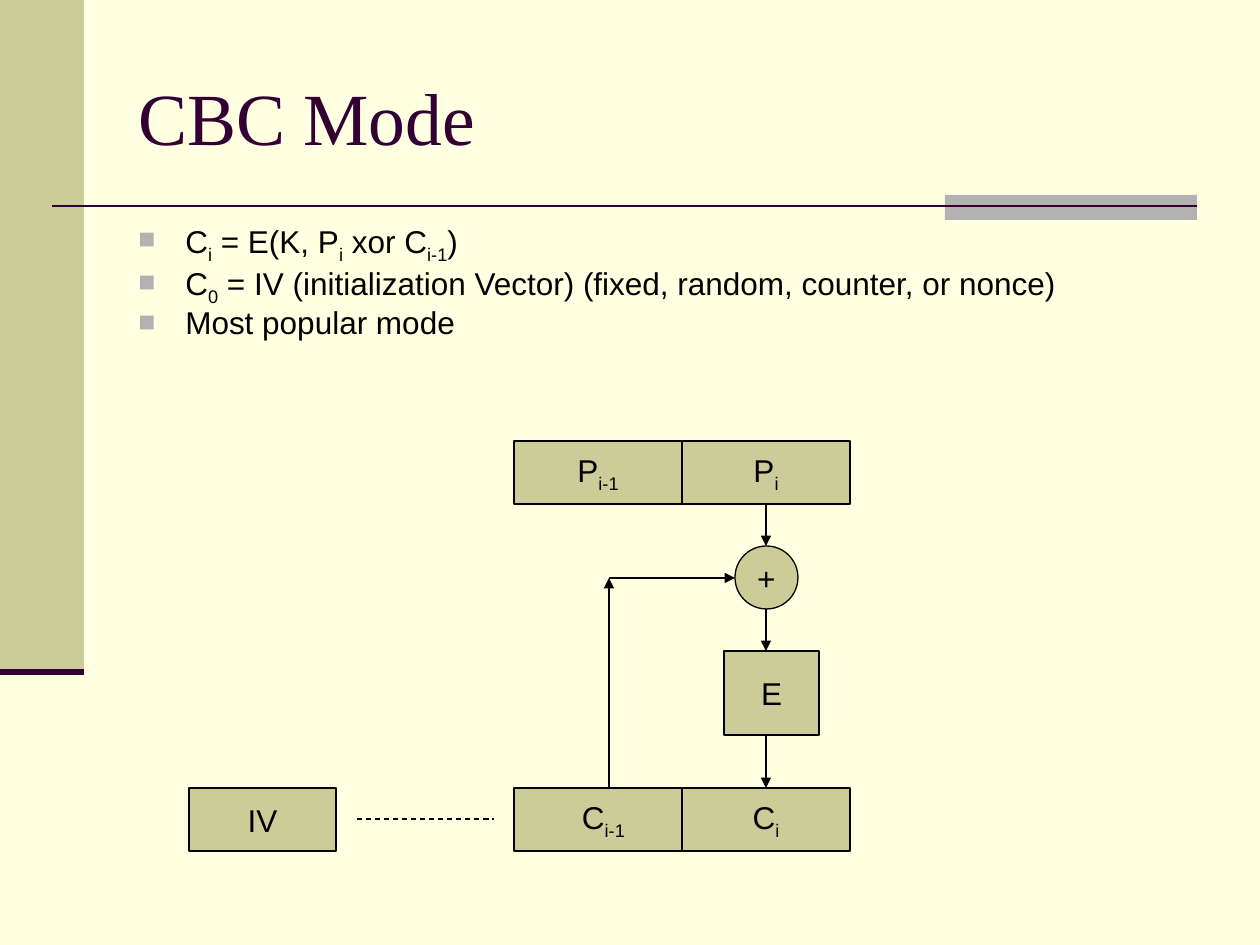
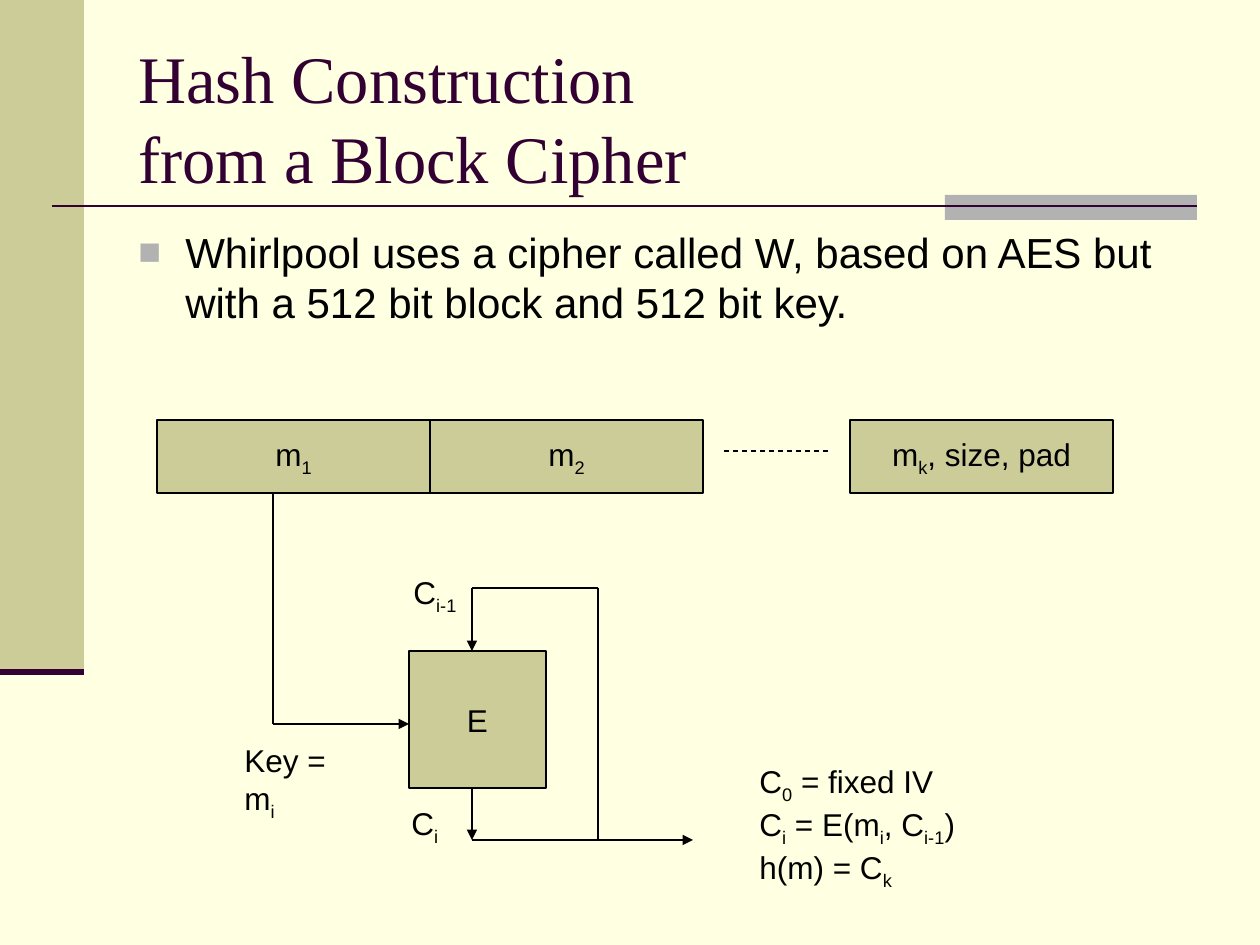
from dataclasses import dataclass

from lxml import etree
from pptx import Presentation
from pptx.dml.color import RGBColor
from pptx.enum.dml import MSO_LINE
from pptx.enum.shapes import MSO_CONNECTOR, MSO_SHAPE
from pptx.enum.text import MSO_ANCHOR, PP_ALIGN
from pptx.oxml.ns import qn
from pptx.util import Emu, Pt

PX = 914400 / 126  # one pixel in EMU

CREAM, KHAKI, GRAY, PLUM, BLACK = "FFFFE1", "CCCC99", "B2B2B2", "330033", "000000"
SERIF, SANS = "Times New Roman", "Arial"
THIN = 0.74


@dataclass
class Box:
    """A filled node; |bars| in its text enclose subscripts."""
    text: str
    x: int
    y: int
    w: int
    h: int
    shape: MSO_SHAPE = MSO_SHAPE.RECTANGLE


@dataclass
class Label:
    lines: list[str]
    x: int
    y: int
    w: int
    h: int


@dataclass
class Path:
    """Straight segments through the points, with an optional arrowhead at the end."""
    points: list[tuple[int, int]]
    arrow: bool = True
    dashed: bool = False


def px(n: float) -> Emu:
    return Emu(round(n * PX))


def rgb(color: str) -> RGBColor:
    return RGBColor.from_string(color)


def add_bullet(p, indent: int) -> None:
    pPr = p._p.get_or_add_pPr()
    pPr.set("marL", str(px(indent)))
    pPr.set("indent", str(-px(indent)))
    clr = etree.SubElement(pPr, qn("a:buClr"))
    etree.SubElement(clr, qn("a:srgbClr"), val=GRAY)
    etree.SubElement(pPr, qn("a:buSzPct"), val="90000")
    etree.SubElement(pPr, qn("a:buFont"), typeface=SANS)
    etree.SubElement(pPr, qn("a:buChar"), char="■")


def write(sp, paragraphs: list[str], *, size: float = 18, font: str = SANS,
          color: str = BLACK, align=PP_ALIGN.LEFT, anchor=MSO_ANCHOR.TOP,
          wrap: bool = False, bullet: bool = False, before: float = 0,
          spacing: float | None = None) -> None:
    """Fill a shape with text; |bars| enclose subscripts, \\v breaks a line."""
    tf = sp.text_frame
    tf.word_wrap, tf.vertical_anchor = wrap, anchor
    for i, paragraph in enumerate(paragraphs):
        p = tf.add_paragraph() if i else tf.paragraphs[0]
        p.alignment, p.space_before = align, Pt(before)
        if spacing:
            p.line_spacing = spacing
        if bullet:
            add_bullet(p, 47)
        for j, line in enumerate(paragraph.split("\v")):
            if j:
                p.add_line_break()
            for k, part in enumerate(line.split("|")):
                if not part:
                    continue
                r = p.add_run()
                r.text = part
                r.font.size, r.font.name = Pt(size), font
                r.font.color.rgb = rgb(color)
                if k % 2:
                    r.font._element.set("baseline", "-25000")


def add_text(s, x: int, y: int, w: int, h: int, paragraphs: list[str], **fmt) -> None:
    write(s.shapes.add_textbox(px(x), px(y), px(w), px(h)), paragraphs, **fmt)


def add_filled(s, x: int, y: int, w: int, h: int, fill: str, *,
               shape=MSO_SHAPE.RECTANGLE, outlined: bool = False):
    sp = s.shapes.add_shape(shape, px(x), px(y), px(w), px(h))
    sp.shadow.inherit = False
    sp.fill.solid()
    sp.fill.fore_color.rgb = rgb(fill)
    if outlined:
        sp.line.color.rgb = rgb(BLACK)
        sp.line.width = Pt(THIN)
    else:
        sp.line.fill.background()
    return sp


def add_line(s, start: tuple[int, int], end: tuple[int, int], *, color: str = BLACK,
             width: float = THIN, arrow: bool = False, dashed: bool = False) -> None:
    c = s.shapes.add_connector(MSO_CONNECTOR.STRAIGHT, *map(px, start + end))
    c.line.color.rgb = rgb(color)
    c.line.width = Pt(width)
    if dashed:
        c.line.dash_style = MSO_LINE.DASH
    spPr = c.element.spPr
    if arrow:
        etree.SubElement(spPr.find(qn("a:ln")), qn("a:tailEnd"), type="triangle")
    etree.SubElement(spPr, qn("a:effectLst"))


def add_box(s, box: Box) -> None:
    sp = add_filled(s, box.x, box.y, box.w, box.h, KHAKI, shape=box.shape, outlined=True)
    write(sp, [box.text], align=PP_ALIGN.CENTER, anchor=MSO_ANCHOR.MIDDLE)


def add_path(s, path: Path) -> None:
    segments = list(zip(path.points, path.points[1:]))
    for i, (start, end) in enumerate(segments, 1):
        add_line(s, start, end, arrow=path.arrow and i == len(segments), dashed=path.dashed)


def new_slide(prs, title: str, title_size: float, body: list[str], **body_fmt):
    """Start a slide with the shared bands, rules, title and bulleted body."""
    s = prs.slides.add_slide(prs.slide_layouts[6])
    s.background.fill.solid()
    s.background.fill.fore_color.rgb = rgb(CREAM)
    add_filled(s, 0, 0, 84, 672, KHAKI)
    add_filled(s, 945, 195, 252, 25, GRAY)
    add_line(s, (52, 206), (1197, 206), color=PLUM, width=1.5)
    add_line(s, (0, 672), (84, 672), color=PLUM, width=3.5)
    add_text(s, 126, 38, 1071, 157, [title], size=title_size, font=SERIF, color=PLUM,
             anchor=MSO_ANCHOR.MIDDLE, wrap=True)
    add_text(s, 126, 220, 1071, 163, body, wrap=True, bullet=True, **body_fmt)
    return s


def draw(s, boxes: list[Box], paths: list[Path], labels: list[Label]) -> None:
    for box in boxes:
        add_box(s, box)
    for path in paths:
        add_path(s, path)
    for label in labels:
        add_text(s, label.x, label.y, label.w, label.h, label.lines)


prs = Presentation()
prs.slide_width, prs.slide_height = px(1260), px(945)

# Slide 1: CBC chaining
s = new_slide(prs, "CBC Mode", 42, [
    "C|i| = E(K, P|i| xor C|i-1|)",
    "C|0| = IV (initialization Vector) (fixed, random, counter, or nonce)",
    "Most popular mode",
], size=18, before=4.5, spacing=0.8)
cbc_boxes = [
    Box("P|i-1|", 514, 441, 168, 63),
    Box("P|i|", 682, 441, 168, 63),
    Box("+", 735, 546, 63, 63, MSO_SHAPE.OVAL),
    Box("E", 724, 651, 95, 84),
    Box("C|i-1|", 514, 788, 179, 63),
    Box("C|i|", 682, 788, 168, 63),
    Box("IV", 189, 788, 147, 63),
]
cbc_paths = [Path([(766, top), (766, bottom)])
             for top, bottom in ((504, 546), (609, 651), (735, 788))]
cbc_paths += [
    Path([(609, 788), (609, 578)]),
    Path([(609, 578), (735, 578)]),
    Path([(357, 819), (494, 819)], arrow=False, dashed=True),
]
draw(s, cbc_boxes, cbc_paths, [])

# Slide 2: hash built from a block cipher
s = new_slide(prs, "Hash Construction\vfrom a Block Cipher", 38, [
    "Whirlpool uses a cipher called W, based on AES but with a 512 bit block "
    "and 512 bit key.",
], size=24, before=6)
hash_boxes = [
    Box("m|1|", 157, 420, 273, 73),
    Box("m|2|", 430, 420, 273, 73),
    Box("m|k|, size, pad", 850, 420, 263, 73),
    Box("E", 409, 651, 137, 137),
]
hash_paths = [
    Path([(724, 451), (830, 451)], arrow=False, dashed=True),
    Path([(273, 493), (273, 724), (409, 724)]),  # key input
    Path([(472, 788), (472, 840)]),
    Path([(472, 840), (693, 840)]),  # output
    Path([(598, 840), (598, 588), (472, 588), (472, 651)]),  # feedback
]
hash_labels = [
    Label(["Key = m|i|"], 232, 735, 145, 55),
    Label(["C|i-1|"], 401, 567, 68, 55),
    Label(["C|i|"], 399, 798, 73, 55),
    Label(["C|0| = fixed IV", "C|i| = E(m|i|, C|i-1|)", "h(m) = C|k|"], 747, 756, 221, 142),
]
draw(s, hash_boxes, hash_paths, hash_labels)

prs.save("out.pptx")
